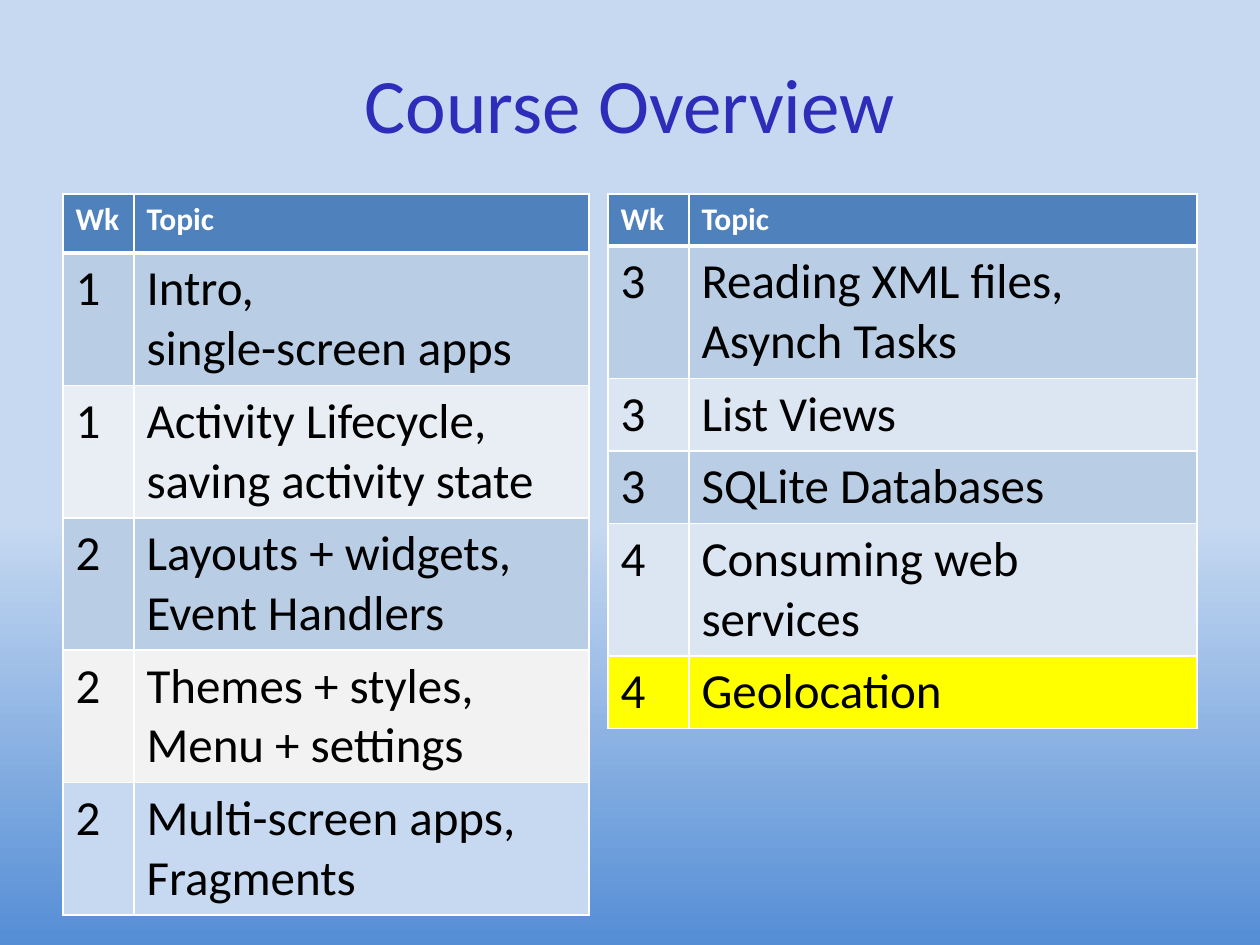
import pptx
import pptx.dml.color
import pptx.enum.text
import pptx.oxml.ns
import pptx.util
from lxml import etree

PX = 914400 // 126
FONT = "Calibri"


def rgb(value):
    return pptx.dml.color.RGBColor.from_string(value)


def set_borders(cell, bottom):
    """Draw white cell borders, 1 pt wide except for the bottom one."""
    tcPr = cell._tc.get_or_add_tcPr()
    for side, width in (("L", 1), ("R", 1), ("T", 1), ("B", bottom)):
        ln = etree.SubElement(tcPr, pptx.oxml.ns.qn(f"a:ln{side}"), w=str(pptx.util.Pt(width)))
        fill = etree.SubElement(ln, pptx.oxml.ns.qn("a:solidFill"))
        etree.SubElement(fill, pptx.oxml.ns.qn("a:srgbClr"), val="FFFFFF")


prs = pptx.Presentation()
prs.slide_width = 1260 * PX
prs.slide_height = 945 * PX
s = prs.slides.add_slide(prs.slide_layouts[5])

bg = s.background.fill
bg.gradient()
bg.gradient_angle = 270
for stop, (position, color) in zip(bg.gradient_stops, ((0.55, "C6D9F1"), (1, "558ED5"))):
    stop.position = position
    stop.color.rgb = rgb(color)

title = s.shapes.title
title.left, title.top, title.width, title.height = 63 * PX, 38 * PX, 1134 * PX, 129 * PX
title.text_frame.vertical_anchor = pptx.enum.text.MSO_ANCHOR.MIDDLE
p = title.text_frame.paragraphs[0]
p.alignment = pptx.enum.text.PP_ALIGN.CENTER
r = p.add_run()
r.text = "Course Overview"
r.font.name = FONT
r.font.size = pptx.util.Pt(44)
r.font.color.rgb = rgb("2D2DB9")

# Rows: week, topic, fill, height. "\n" starts a paragraph, "\v" breaks a line.
first_weeks = [
    ("Wk", "Topic", "4F81BD", 59),
    ("1", "Intro, \vsingle-screen apps", "B9CDE5", 132),
    ("1", "Activity Lifecycle, saving activity state", "E9EDF4", 132),
    ("2", "Layouts + widgets,\nEvent Handlers", "B9CDE5", 132),
    ("2", "Themes + styles,\nMenu + settings", "F2F2F2", 132),
    ("2", "Multi-screen apps, Fragments", "C6D9F1", 132),
]
last_weeks = [
    ("Wk", "Topic", "4F81BD", 52),
    ("3", "Reading XML files,\nAsynch Tasks", "B9CDE5", 132),
    ("3", "List Views", "DCE6F2", 72),
    ("3", "SQLite Databases", "B9CDE5", 72),
    ("4", "Consuming web services", "DCE6F2", 132),
    ("4", "Geolocation", "FFFF00", 72),
]

for left, widths, rows in ((63, (71, 455), first_weeks), (608, (81, 508), last_weeks)):
    height = sum(row[3] for row in rows)
    table = s.shapes.add_table(len(rows), 2, left * PX, 194 * PX,
                               sum(widths) * PX, height * PX).table
    for column, width in zip(table.columns, widths):
        column.width = width * PX
    for i, (week, topic, color, row_height) in enumerate(rows):
        header = i == 0
        table.rows[i].height = row_height * PX
        for j, text in enumerate((week, topic)):
            cell = table.cell(i, j)
            set_borders(cell, 3 if header else 1)
            cell.fill.solid()
            cell.fill.fore_color.rgb = rgb(color)
            tf = cell.text_frame
            for k, paragraph in enumerate(text.split("\n")):
                p = tf.add_paragraph() if k else tf.paragraphs[0]
                for n, line in enumerate(paragraph.split("\v")):
                    if n:
                        p.add_line_break()
                    r = p.add_run()
                    r.text = line
                    r.font.name = FONT
                    r.font.size = pptx.util.Pt(18 if header else 28)
                    r.font.bold = header
                    r.font.color.rgb = rgb("FFFFFF" if header else "000000")

prs.save("out.pptx")
